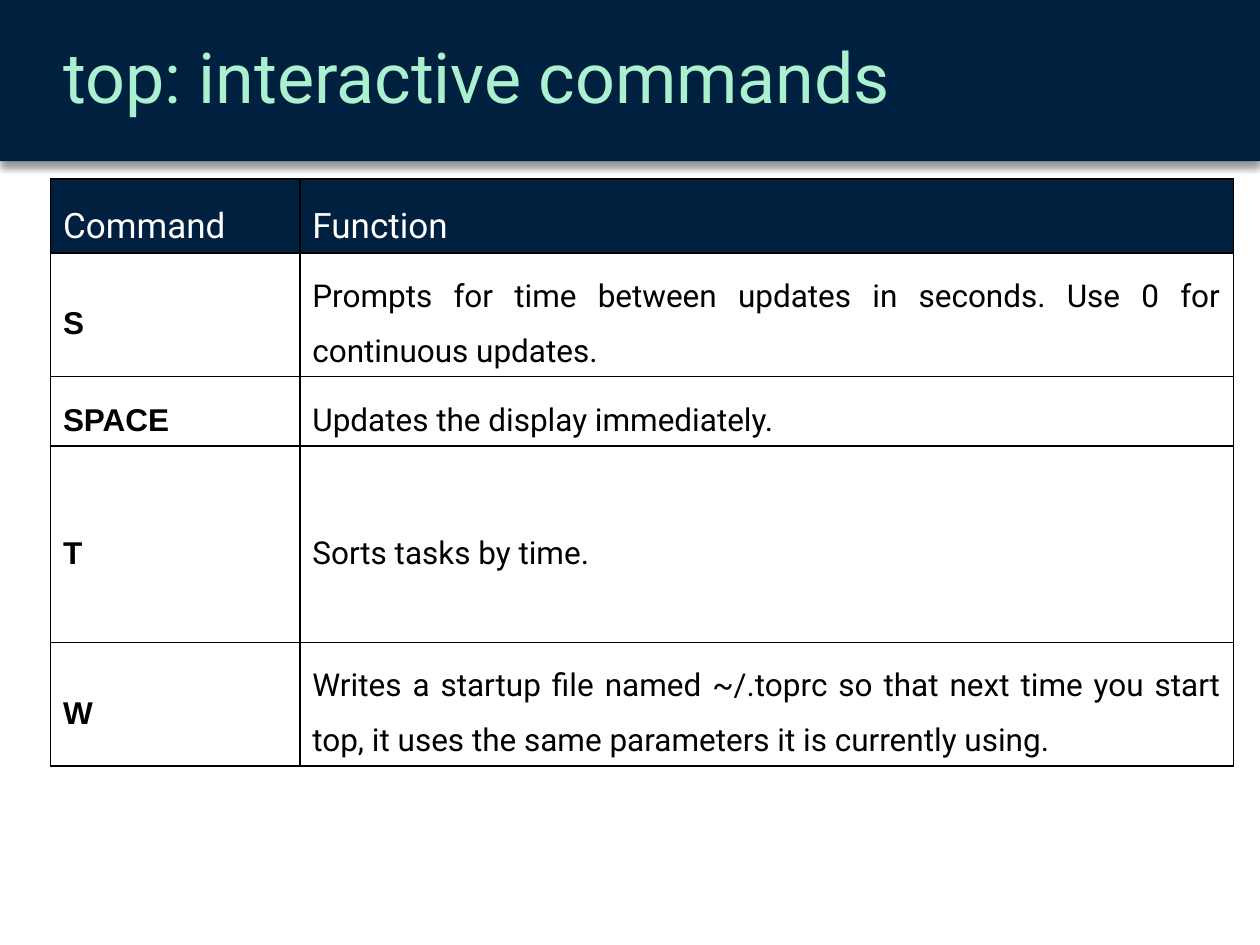
from dataclasses import dataclass

from lxml import etree
from pptx import Presentation
from pptx.dml.color import RGBColor
from pptx.enum.shapes import MSO_SHAPE as Shape
from pptx.enum.text import MSO_ANCHOR as Anchor, MSO_AUTO_SIZE as AutoSize, PP_ALIGN as Align
from pptx.oxml import parse_xml
from pptx.oxml.ns import nsdecls, qn
from pptx.util import Pt

NAVY, MINT, WHITE, BLACK = "00203F", "ABF1CF", "FFFFFF", "000000"
SLIDE_W, SLIDE_H, BAND_H = 720, 540, 92.16
COL_WIDTHS = (142.5, 533.5)
ROW_H = 39.6


@dataclass
class Style:
    size: float
    color: str
    font: str = "Roboto"
    bold: bool = False


@dataclass
class Row:
    command: str
    function: str
    height: float = ROW_H


HEADER = Style(20, WHITE)
KEY = Style(18, BLACK, "Arial", True)
BODY = Style(18, BLACK)

HEADINGS = Row("Command", "Function")
COMMANDS = [
    Row("S", "Prompts for time between updates in seconds. Use 0 for continuous updates."),
    Row("SPACE", "Updates the display immediately."),
    Row("T", "Sorts tasks by time.", 112.3),
    Row("W", "Writes a startup file named ~/.toprc so that next time you start top, "
             "it uses the same parameters it is currently using."),
]


def rgb(color: str) -> RGBColor:
    return RGBColor.from_string(color)


def format_text(p, style: Style, align, spacing: float) -> None:
    p.alignment, p.line_spacing = align, spacing
    for r in p.runs:
        r.font.name, r.font.size, r.font.bold = style.font, Pt(style.size), style.bold
        r.font.color.rgb = rgb(style.color)


def add_band(s) -> None:
    sp = s.shapes.add_shape(Shape.RECTANGLE, 0, 0, Pt(SLIDE_W), Pt(BAND_H))
    sp.fill.solid()
    sp.fill.fore_color.rgb = rgb(NAVY)
    sp.line.fill.background()
    sp._element.spPr.append(parse_xml(
        f'<a:effectLst {nsdecls("a")}><a:outerShdw blurRad="{Pt(4)}" dist="{Pt(3)}" '
        f'dir="5400000" algn="t" rotWithShape="0"><a:srgbClr val="{BLACK}">'
        '<a:alpha val="40000"/></a:srgbClr></a:outerShdw></a:effectLst>'))
    s.shapes._spTree.insert(2, sp._element)  # behind the title


def add_title(s, text: str) -> None:
    sp = s.shapes.title
    sp.left, sp.top = Pt(28.8), Pt(0)
    sp.width, sp.height = Pt(SLIDE_W - 28.8), Pt(BAND_H)
    tf = sp.text_frame
    tf.text = text
    tf.auto_size, tf.vertical_anchor = AutoSize.NONE, Anchor.MIDDLE
    p = tf.paragraphs[0]
    format_text(p, Style(40, MINT), Align.LEFT, 0.9)
    p.space_after = Pt(6)


def add_borders(cell) -> None:
    tc_pr = cell._tc.get_or_add_tcPr()
    for i, side in enumerate(("lnL", "lnR", "lnT", "lnB")):
        ln = etree.Element(qn(f"a:{side}"), w=str(Pt(1)))
        fill = etree.SubElement(ln, qn("a:solidFill"))
        etree.SubElement(fill, qn("a:srgbClr"), val=BLACK)
        tc_pr.insert(i, ln)


def fill_cell(cell, text: str, style: Style, fill: str) -> None:
    cell.fill.solid()
    cell.fill.fore_color.rgb = rgb(fill)
    cell.vertical_anchor = Anchor.MIDDLE
    cell.margin_left = cell.margin_right = Pt(7.2)
    cell.margin_top = cell.margin_bottom = Pt(3.6)
    cell.text_frame.text = text
    format_text(cell.text_frame.paragraphs[0], style, Align.JUSTIFY, 1.5)
    add_borders(cell)


def add_command_table(s) -> None:
    rows = [HEADINGS, *COMMANDS]
    table = s.shapes.add_table(len(rows), len(COL_WIDTHS), Pt(28.8), Pt(102.2),
                               Pt(sum(COL_WIDTHS)), Pt(sum(r.height for r in rows))).table
    for column, width in zip(table.columns, COL_WIDTHS):
        column.width = Pt(width)
    for i, row in enumerate(rows):
        table.rows[i].height = Pt(row.height)
        styles, fill = ((KEY, BODY), WHITE) if i else ((HEADER, HEADER), NAVY)
        for j, text in enumerate((row.command, row.function)):
            fill_cell(table.cell(i, j), text, styles[j], fill)


def main() -> None:
    prs = Presentation()
    prs.slide_width, prs.slide_height = Pt(SLIDE_W), Pt(SLIDE_H)
    s = prs.slides.add_slide(prs.slide_layouts[5])  # title only
    s.background.fill.solid()
    s.background.fill.fore_color.rgb = rgb(WHITE)
    add_band(s)
    add_title(s, "top: interactive commands")
    add_command_table(s)
    prs.save("out.pptx")


if __name__ == "__main__":
    main()
